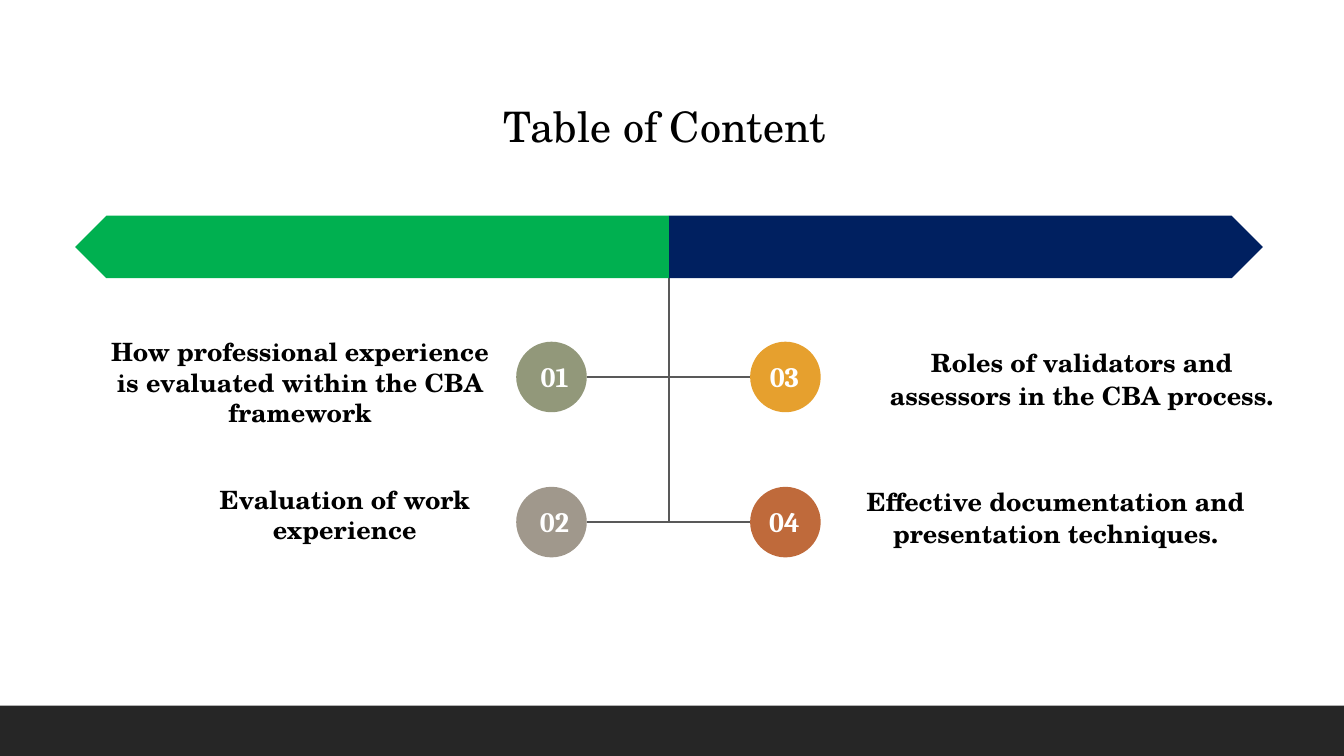
"""Build the table of content slide with four numbered topics."""
from dataclasses import dataclass

from lxml.etree import SubElement
from pptx import Presentation
from pptx.dml.color import RGBColor
from pptx.enum.shapes import MSO_CONNECTOR, MSO_SHAPE
from pptx.enum.text import MSO_ANCHOR, PP_ALIGN
from pptx.oxml.ns import qn
from pptx.util import Inches, Pt

COLORS = {
    "footer": "262626",
    "line": "595959",
    "navy": "002060",
    "green": "00B050",
    "olive": "92987A",
    "taupe": "A0988C",
    "amber": "E6A02E",
    "rust": "BF6A3B",
    "black": "000000",
    "white": "FFFFFF",
}
BODY_FONT = "TeX Gyre Schola"
NUMBER_FONT = "Cambria"
CENTER = 6.635
CIRCLE = 0.7
LEFT_CIRCLE, RIGHT_CIRCLE = 5.12, 7.44
LEFT_NUMBER, RIGHT_NUMBER = 5.05, 7.33
ROWS = (3.74, 5.18)
ARROW_TOP, ARROW_WIDTH, ARROW_HEIGHT = 2.14, 5.89, 0.62


@dataclass(frozen=True)
class Topic:
    """A numbered topic: its circle and the place of its wording."""
    number: str
    text: str
    color: str
    circle_left: float
    number_left: float
    middle: float
    box: tuple[float, float, float, float]
    spacing: dict[str, float]


LEFT_SPACING = {"before": 6}
RIGHT_SPACING = {"after": 8, "line_spacing": 1.07}
TOPICS = (
    Topic("01", "How professional experience is evaluated within the CBA framework",
          "olive", LEFT_CIRCLE, LEFT_NUMBER, ROWS[0], (1.02, 3.34, 3.91, 0.91), LEFT_SPACING),
    Topic("02", "Evaluation of work experience",
          "taupe", LEFT_CIRCLE, LEFT_NUMBER, ROWS[1], (1.91, 4.8, 3.02, 0.61), LEFT_SPACING),
    Topic("03", "Roles of validators and assessors in the CBA process.",
          "amber", RIGHT_CIRCLE, RIGHT_NUMBER, ROWS[0], (8.6, 3.43, 4.26, 0.64), RIGHT_SPACING),
    Topic("04", "Effective documentation and presentation techniques.",
          "rust", RIGHT_CIRCLE, RIGHT_NUMBER, ROWS[1], (8.34, 4.8, 4.26, 1.08), RIGHT_SPACING),
)


def add_filled(page, kind: MSO_SHAPE, left: float, top: float, width: float,
               height: float, color: str):
    """Add a preset shape with a plain fill and no outline."""
    shape = page.shapes.add_shape(kind, Inches(left), Inches(top), Inches(width), Inches(height))
    shape.shadow.inherit = False
    shape.fill.solid()
    shape.fill.fore_color.rgb = RGBColor.from_string(COLORS[color])
    shape.line.fill.background()
    return shape


def add_line(page, start: tuple[float, float], end: tuple[float, float]) -> None:
    """Add a straight grey line."""
    line = page.shapes.add_connector(
        MSO_CONNECTOR.STRAIGHT, *(Inches(value) for value in (*start, *end)))
    line.line.color.rgb = RGBColor.from_string(COLORS["line"])
    line.line.width = Pt(1.5)
    SubElement(line._element.spPr, qn("a:effectLst"))


def add_text(page, text: str, place: tuple[float, float, float, float], *, size: float,
             font: str = BODY_FONT, color: str = "black", bold: bool = True,
             inset: bool = True, before: float = 0, after: float = 0,
             line_spacing: float = 1.0) -> None:
    """Add a wrapped, centred text box."""
    box = page.shapes.add_textbox(*(Inches(value) for value in place))
    frame = box.text_frame
    frame.word_wrap = True
    frame.vertical_anchor = MSO_ANCHOR.TOP
    if not inset:
        frame.margin_left = frame.margin_right = frame.margin_top = frame.margin_bottom = 0
    para = frame.paragraphs[0]
    para.alignment = PP_ALIGN.CENTER
    para.space_before = Pt(before)
    para.space_after = Pt(after)
    para.line_spacing = line_spacing
    span = para.add_run()
    span.text = text
    span.font.name = font
    span.font.size = Pt(size)
    span.font.bold = bold
    span.font.color.rgb = RGBColor.from_string(COLORS[color])


def add_topic(page, topic: Topic) -> None:
    """Add the circle, number and wording of a topic."""
    add_filled(page, MSO_SHAPE.OVAL, topic.circle_left, topic.middle - CIRCLE / 2,
               CIRCLE, CIRCLE, topic.color)
    add_text(page, topic.number, (topic.number_left, topic.middle - 0.22, 0.9, 0.44),
             size=20, font=NUMBER_FONT, color="white")
    add_text(page, topic.text, topic.box, size=18, inset=False, **topic.spacing)


def main() -> None:
    """Build and save the deck."""
    deck = Presentation()
    deck.slide_width, deck.slide_height = Inches(13.33), Inches(7.5)
    page = deck.slides.add_slide(deck.slide_layouts[6])
    add_filled(page, MSO_SHAPE.RECTANGLE, 0, 7, 13.33, 0.5, "footer")
    add_line(page, (CENTER, 2.45), (CENTER, ROWS[-1]))
    for middle in ROWS:
        add_line(page, (LEFT_CIRCLE + CIRCLE, middle), (RIGHT_CIRCLE, middle))
    for left, color, turn in ((CENTER, "navy", 0), (CENTER - ARROW_WIDTH, "green", 180)):
        arrow = add_filled(page, MSO_SHAPE.PENTAGON, left, ARROW_TOP,
                           ARROW_WIDTH, ARROW_HEIGHT, color)
        arrow.adjustments[0] = 0.5
        arrow.rotation = turn
    for topic in TOPICS:
        add_topic(page, topic)
    add_text(page, "Table of Content", (1.02, 0.95, 11.15, 0.61), size=30, bold=False)
    deck.save("out.pptx")


if __name__ == "__main__":
    main()
